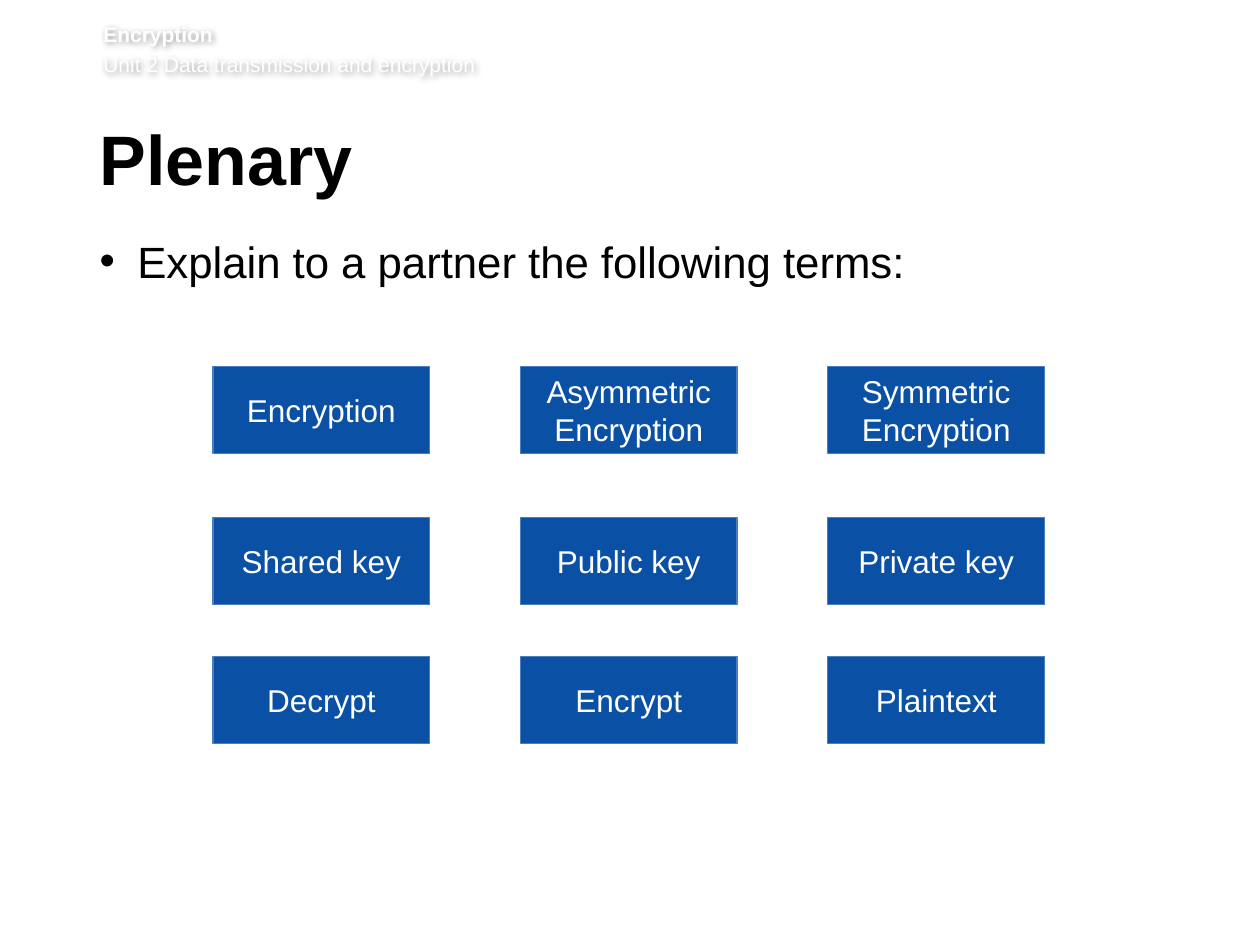
from lxml import etree
from pptx import Presentation
from pptx.dml.color import RGBColor
from pptx.enum.shapes import MSO_SHAPE
from pptx.enum.text import MSO_ANCHOR, MSO_AUTO_SIZE, PP_ALIGN
from pptx.oxml.ns import qn
from pptx.util import Inches, Pt

PROCESS = MSO_SHAPE.FLOWCHART_PROCESS
TOP, MIDDLE = MSO_ANCHOR.TOP, MSO_ANCHOR.MIDDLE
LEFT, CENTER = PP_ALIGN.LEFT, PP_ALIGN.CENTER
NO_AUTOFIT = MSO_AUTO_SIZE.NONE

COLORS = {
    "text": "000000",
    "light": "FFFFFF",
    "box": "0A50A4",
    "border": "4B7EBC",
    "shadow": "000000",
}
FONT = "Arial"

TERM_ROWS = [
    (2.91, ["Encryption", "Asymmetric\nEncryption", "Symmetric Encryption"]),
    (4.11, ["Shared key", "Public key", "Private key"]),
    (5.21, ["Decrypt", "Encrypt", "Plaintext"]),
]
TERM_LEFT, TERM_STEP = 1.69, 2.44
TERM_WIDTH, TERM_HEIGHT = 1.72, 0.69


def color(name):
    return RGBColor.from_string(COLORS[name])


def style_runs(paragraph, size, color_name, bold=False):
    for run in paragraph.runs:
        run.font.name = FONT
        run.font.size = Pt(size)
        run.font.bold = bold
        run.font.color.rgb = color(color_name)


def set_frame(frame, margins):
    """Wrap from the top, with left, top, right and bottom margins in inches."""
    frame.word_wrap = True
    frame.auto_size = NO_AUTOFIT
    frame.vertical_anchor = TOP
    (frame.margin_left, frame.margin_top,
     frame.margin_right, frame.margin_bottom) = map(Inches, margins)


def place(shape, left, top, width, height):
    shape.left, shape.top = Inches(left), Inches(top)
    shape.width, shape.height = Inches(width), Inches(height)


def add_soft_shadow(shape):
    """Give an unfilled shape a blurred shadow, which falls behind its text."""
    effects = etree.SubElement(shape._element.spPr, qn("a:effectLst"))
    shadow = etree.SubElement(effects, qn("a:outerShdw"),
                              blurRad=str(Pt(4)), dist=str(Pt(1)),
                              dir="2700000", algn="tl", rotWithShape="0")
    tint = etree.SubElement(shadow, qn("a:srgbClr"), val=COLORS["shadow"])
    etree.SubElement(tint, qn("a:alpha"), val="40000")


def add_header(slide, topic, unit):
    header = slide.shapes.add_textbox(
        Inches(0.82), Inches(0.17), Inches(8.82), Inches(0.49))
    add_soft_shadow(header)
    frame = header.text_frame
    set_frame(frame, (0, 0, 0, 0.05))
    frame.text = f"{topic}\n{unit}"
    topic_line, unit_line = frame.paragraphs
    unit_line.space_before = Pt(2.9)
    style_runs(topic_line, 12, "light", bold=True)
    style_runs(unit_line, 12, "light")


def fill_title(title, text):
    place(title, 0.79, 0.99, 8.55, 0.73)
    set_frame(title.text_frame, (0, 0.05, 0.1, 0.05))
    title.text_frame.text = text
    heading = title.text_frame.paragraphs[0]
    heading.alignment = LEFT
    heading.line_spacing = Pt(39)
    heading.space_after = Pt(15)
    style_runs(heading, 40, "text", bold=True)


def fill_task(body, text):
    place(body, 0.79, 1.86, 8.53, 3.78)
    set_frame(body.text_frame, (0, 0, 0.1, 0.05))
    body.text_frame.text = text
    task = body.text_frame.paragraphs[0]
    properties = task._p.get_or_add_pPr()
    properties.set("marL", str(Inches(0.3)))
    properties.set("indent", str(-Inches(0.3)))
    etree.SubElement(properties, qn("a:buChar"), char="•")
    task.space_before = Pt(0)
    task.space_after = Pt(14)
    style_runs(task, 25, "text")


def add_term(slide, left, top, term):
    box = slide.shapes.add_shape(PROCESS, Inches(left), Inches(top),
                                 Inches(TERM_WIDTH), Inches(TERM_HEIGHT))
    box.shadow.inherit = False
    box.fill.solid()
    box.fill.fore_color.rgb = color("box")
    box.line.color.rgb = color("border")
    box.line.width = Pt(0.75)
    box.text_frame.word_wrap = True
    box.text_frame.vertical_anchor = MIDDLE
    box.text_frame.text = term
    for line in box.text_frame.paragraphs:
        line.alignment = CENTER
        style_runs(line, 18, "light")


def main():
    deck = Presentation()
    deck.slide_width, deck.slide_height = Inches(10), Inches(7.5)
    slide = deck.slides.add_slide(deck.slide_layouts[1])
    add_header(slide, "Encryption", "Unit 2 Data transmission and encryption")
    fill_title(slide.shapes.title, "Plenary")
    fill_task(slide.placeholders[1], "Explain to a partner the following terms:")
    for top, terms in TERM_ROWS:
        for column, term in enumerate(terms):
            add_term(slide, TERM_LEFT + column * TERM_STEP, top, term)
    deck.save("out.pptx")


if __name__ == "__main__":
    main()
